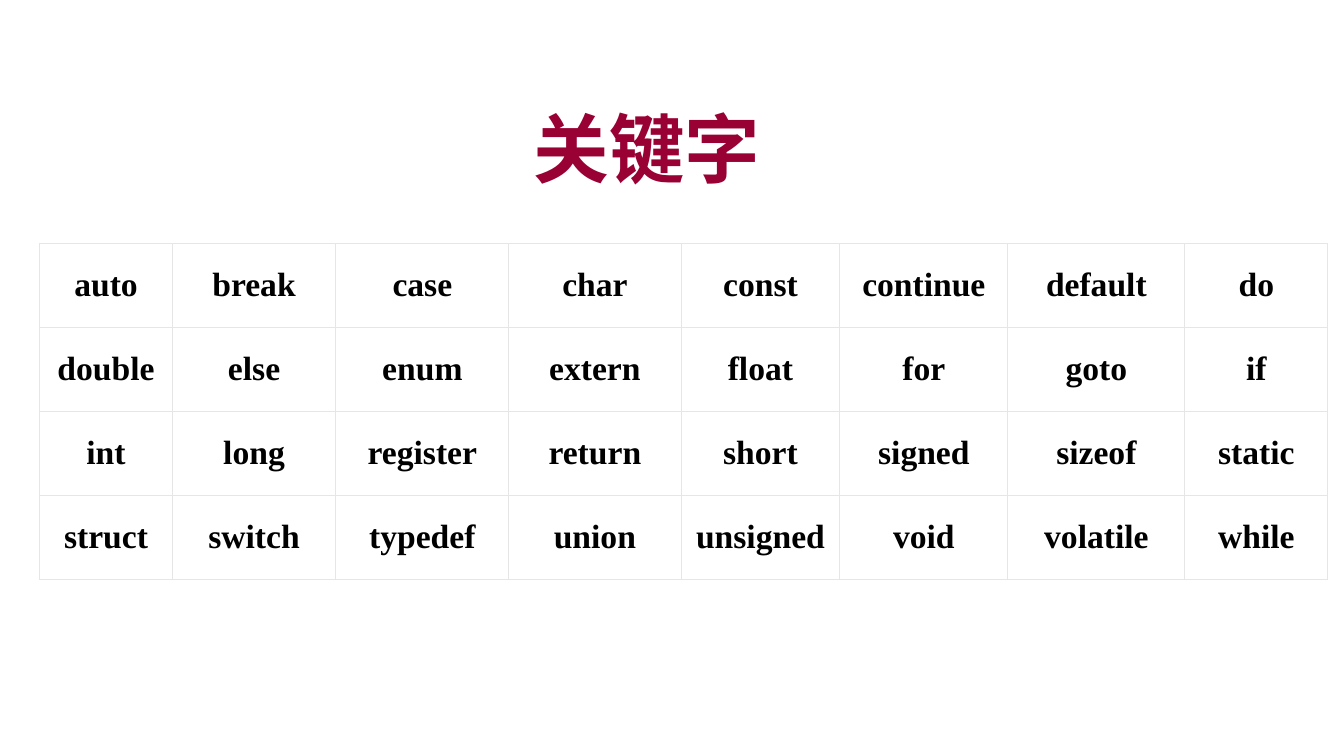
from dataclasses import dataclass

from lxml import etree
from pptx import Presentation
from pptx.dml.color import RGBColor
from pptx.enum.text import MSO_ANCHOR, MSO_AUTO_SIZE, PP_ALIGN
from pptx.oxml.ns import qn
from pptx.slide import Slide
from pptx.table import _Cell
from pptx.text.text import TextFrame
from pptx.util import Pt

CENTER = PP_ALIGN.CENTER
MIDDLE = MSO_ANCHOR.MIDDLE
NO_AUTOFIT = MSO_AUTO_SIZE.NONE
TITLE_ONLY_LAYOUT = 5

CRIMSON = RGBColor(0x99, 0x00, 0x33)
BLACK = RGBColor(0x00, 0x00, 0x00)
WHITE = RGBColor(0xFF, 0xFF, 0xFF)
BORDER_GRAY = RGBColor(0xE6, 0xE6, 0xE6)

TITLE_FONT = "Noto Sans CJK SC"
KEYWORD_FONT = "Times New Roman"


@dataclass(frozen=True)
class Box:
    """A rectangle in points."""
    left: float
    top: float
    width: float
    height: float


TITLE_BOX = Box(54, 78, 816, 54)
TABLE_BOX = Box(28.5, 174, 920, 240)
COLUMN_WIDTHS = (94.5, 117, 123.5, 123, 113.5, 120, 126.5, 102)
KEYWORD_ROWS = (
    "auto break case char const continue default do",
    "double else enum extern float for goto if",
    "int long register return short signed sizeof static",
    "struct switch typedef union unsigned void volatile while",
)


def write_text(frame: TextFrame, text: str, *, font: str, size: float,
               color: RGBColor) -> None:
    """Write one bold, centred line, with the font also set for Chinese."""
    paragraph = frame.paragraphs[0]
    paragraph.alignment = CENTER
    run = paragraph.add_run()
    run.text = text
    run.font.name = font
    run.font.size = Pt(size)
    run.font.bold = True
    run.font.color.rgb = color
    latin = run._r.get_or_add_rPr().find(qn("a:latin"))
    east_asian = etree.Element(qn("a:ea"), typeface=font)
    latin.addnext(east_asian)


def add_borders(cell: _Cell, color: RGBColor, width: float) -> None:
    properties = cell._tc.get_or_add_tcPr()
    for side in ("a:lnL", "a:lnR", "a:lnT", "a:lnB"):
        line = etree.SubElement(properties, qn(side), w=str(Pt(width)))
        fill = etree.SubElement(line, qn("a:solidFill"))
        etree.SubElement(fill, qn("a:srgbClr"), val=str(color))


def format_title(slide: Slide) -> None:
    title = slide.shapes.title
    title.left, title.top = Pt(TITLE_BOX.left), Pt(TITLE_BOX.top)
    title.width, title.height = Pt(TITLE_BOX.width), Pt(TITLE_BOX.height)
    frame = title.text_frame
    frame.auto_size = NO_AUTOFIT
    frame.vertical_anchor = MIDDLE
    write_text(frame, "关键字", font=TITLE_FONT, size=54, color=CRIMSON)


def fill_cell(cell: _Cell, keyword: str) -> None:
    add_borders(cell, BORDER_GRAY, 0.75)
    cell.fill.solid()
    cell.fill.fore_color.rgb = WHITE
    cell.vertical_anchor = MIDDLE
    cell.margin_left = cell.margin_right = Pt(7)
    cell.margin_top = cell.margin_bottom = Pt(1.5)
    write_text(cell.text_frame, keyword, font=KEYWORD_FONT, size=24, color=BLACK)


def add_keyword_table(slide: Slide) -> None:
    table = slide.shapes.add_table(
        len(KEYWORD_ROWS), len(COLUMN_WIDTHS),
        Pt(TABLE_BOX.left), Pt(TABLE_BOX.top),
        Pt(TABLE_BOX.width), Pt(TABLE_BOX.height),
    ).table
    table.first_row = table.horz_banding = False
    for column, width in zip(table.columns, COLUMN_WIDTHS):
        column.width = Pt(width)
    for row, keywords in zip(table.rows, KEYWORD_ROWS):
        for cell, keyword in zip(row.cells, keywords.split()):
            fill_cell(cell, keyword)


def main() -> None:
    presentation = Presentation()
    presentation.slide_width, presentation.slide_height = Pt(960), Pt(540)
    layout = presentation.slide_layouts[TITLE_ONLY_LAYOUT]
    slide = presentation.slides.add_slide(layout)
    format_title(slide)
    add_keyword_table(slide)
    presentation.save("out.pptx")


if __name__ == "__main__":
    main()
